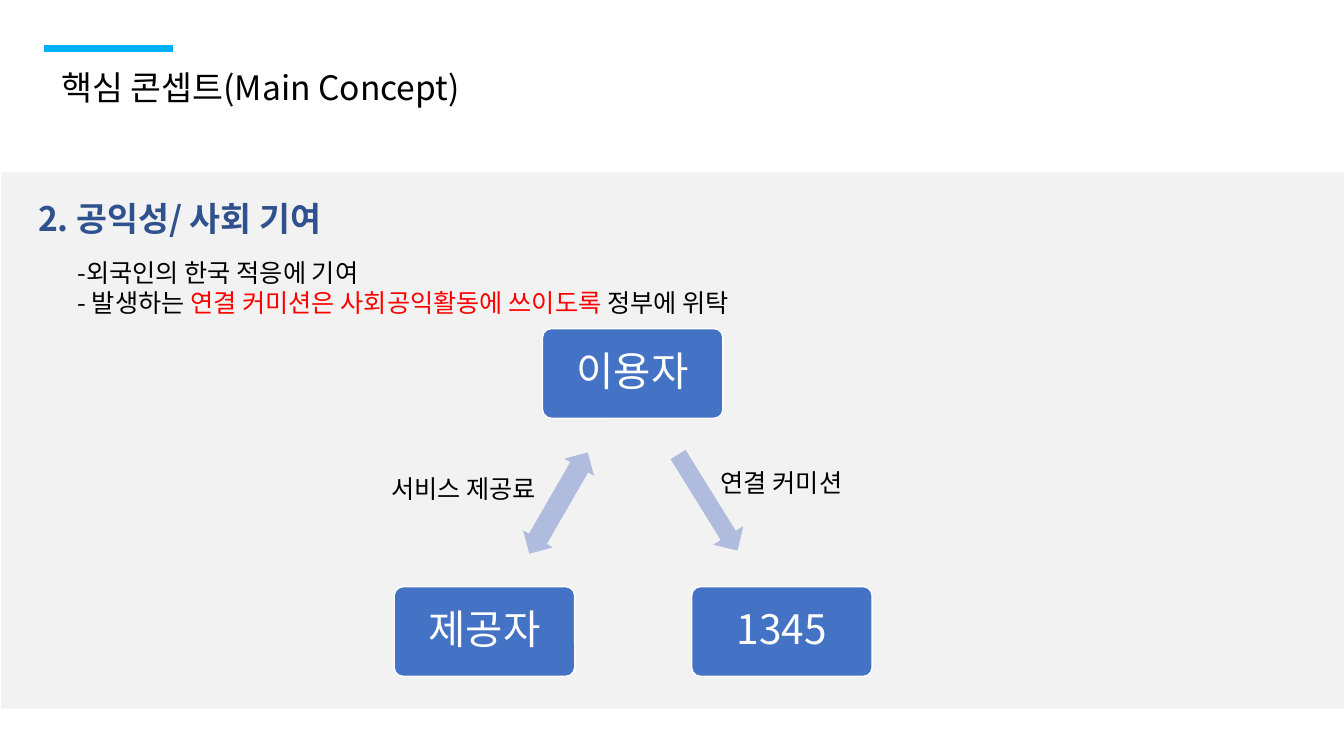
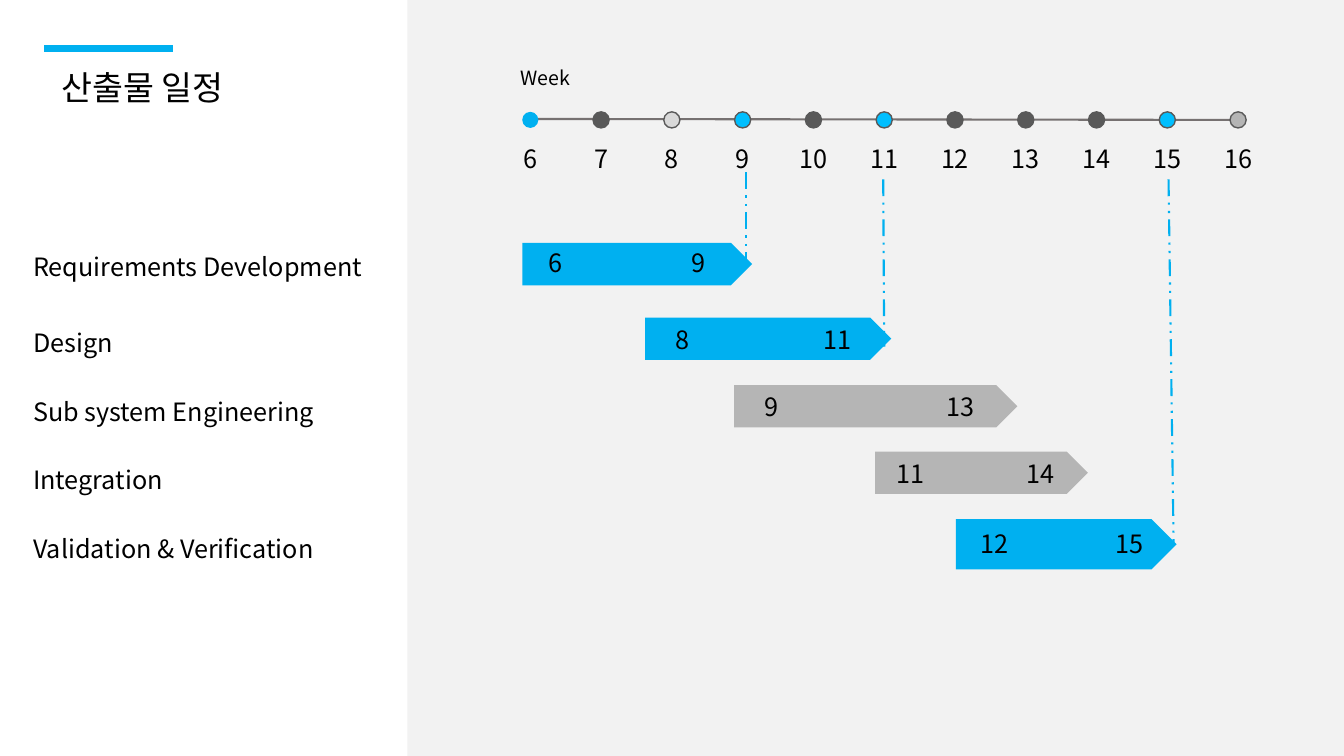
import dataclasses
import typing

import lxml.etree
import pptx
import pptx.dml.color
import pptx.enum.dml
import pptx.enum.shapes
import pptx.enum.text
import pptx.oxml.ns
import pptx.util

Inches = pptx.util.Inches
Pt = pptx.util.Pt
SHAPE = pptx.enum.shapes.MSO_SHAPE
ALIGN = pptx.enum.text.PP_ALIGN
ANCHOR = pptx.enum.text.MSO_ANCHOR

FONT = "Noto Sans CJK KR"
BLACK, WHITE, RED = "000000", "FFFFFF", "FF0000"
PANEL, NAVY, BLUE, PALE_BLUE = "F2F2F2", "2F528F", "4472C4", "B0BCDE"
ACCENT, SKY = "00B0F0", "00BFFF"
DARK, RULE, SILVER, LIGHT = "595959", "767171", "B5B5B5", "D9D9D9"

Run = tuple[str, str]


@dataclasses.dataclass(frozen=True)
class Box:
    left: float
    top: float
    width: float
    height: float

    def lengths(self) -> list[int]:
        return [Inches(v) for v in dataclasses.astuple(self)]


@dataclasses.dataclass(frozen=True)
class Line:
    x1: float
    y1: float
    x2: float
    y2: float
    color: str
    width: float
    dashed: bool = False


@dataclasses.dataclass(frozen=True)
class Stage:
    name: str
    name_top: float
    bar: Box
    color: str
    start: str
    start_x: float
    end: str
    end_x: float
    number_top: float


ACCENT_LINE = Line(0.44, 0.48, 1.72, 0.48, ACCENT, 5)

NODES = [("이용자", 5.38, 3.26), ("1345", 6.86, 5.82), ("제공자", 3.91, 5.82)]
FLOW_LABELS = [("서비스 제공료", 3.78, 4.65), ("연결 커미션", 7.05, 4.59)]

FIRST_WEEK = 6
DOT_LEFT, LAST_DOT_LEFT, DOT_TOP, DOT_SIZE = 5.18, 12.2, 1.11, 0.16
DOT_COLORS = [ACCENT, DARK, LIGHT, SKY, DARK, SKY, DARK, DARK, DARK, SKY, SILVER]
NUMBER_WIDTH, NUMBER_HEIGHT = 0.55, 0.4

STAGES = [
    Stage("Requirements Development", 2.44, Box(5.18, 2.41, 2.28, 0.42), ACCENT,
          "6", 5.51, "9", 6.93, 2.4),
    Stage("Design", 3.2, Box(6.4, 3.15, 2.44, 0.42), ACCENT,
          "8", 6.77, "11", 8.31, 3.17),
    Stage("Sub system Engineering", 3.88, Box(7.28, 3.82, 2.81, 0.42), SILVER,
          "9", 7.65, "13", 9.53, 3.83),
    Stage("Integration", 4.56, Box(8.68, 4.48, 2.11, 0.42), SILVER,
          "11", 9.03, "14", 10.32, 4.5),
    Stage("Validation & Verification", 5.24, Box(9.48, 5.15, 2.19, 0.5), ACCENT,
          "12", 9.86, "15", 11.2, 5.19),
]
DEADLINES = [
    Line(7.4, 1.71, 7.4, 2.66, ACCENT, 1.5, True),
    Line(8.76, 1.78, 8.77, 3.44, ACCENT, 1.5, True),
    Line(11.59, 1.78, 11.64, 5.38, ACCENT, 1.5, True),
]


def rgb(color: str) -> pptx.dml.color.RGBColor:
    return pptx.dml.color.RGBColor.from_string(color)


def apply(target: typing.Any, values: dict[str, typing.Any]) -> None:
    for name, value in values.items():
        setattr(target, name, value)


def write(tf: typing.Any, paragraphs: list[list[Run]], size: float,
          bold: bool = False, **paragraph_format: typing.Any) -> None:
    for i, runs in enumerate(paragraphs):
        p = tf.add_paragraph() if i else tf.paragraphs[0]
        apply(p, paragraph_format)
        for text, color in runs:
            r = p.add_run()
            r.text = text
            apply(r.font, {"name": FONT, "size": Pt(size), "bold": bold})
            r.font.color.rgb = rgb(color)
            ea = lxml.etree.SubElement(r.font._element, pptx.oxml.ns.qn("a:ea"))
            ea.set("typeface", FONT)


def add_text(s: typing.Any, box: Box, paragraphs: list[list[Run]],
             size: float = 18, bold: bool = False,
             **paragraph_format: typing.Any) -> None:
    tf = s.shapes.add_textbox(*box.lengths()).text_frame
    tf.word_wrap = True
    write(tf, paragraphs, size, bold, **paragraph_format)


def add_number(s: typing.Any, text: str, center: float, top: float) -> None:
    box = Box(center - NUMBER_WIDTH / 2, top, NUMBER_WIDTH, NUMBER_HEIGHT)
    add_text(s, box, [[(text, BLACK)]], alignment=ALIGN.CENTER)


def add_shape(s: typing.Any, kind: typing.Any, box: Box, fill: str,
              line: str | None = None, rotation: float = 0,
              adjustments: tuple[float, ...] = ()) -> typing.Any:
    sp = s.shapes.add_shape(kind, *box.lengths())
    sp.shadow.inherit = False
    sp.fill.solid()
    sp.fill.fore_color.rgb = rgb(fill)
    if line:
        sp.line.color.rgb = rgb(line)
        sp.line.width = Pt(1)
    else:
        sp.line.fill.background()
    sp.rotation = rotation
    for i, value in enumerate(adjustments):
        sp.adjustments[i] = value
    return sp


def add_line(s: typing.Any, line: Line) -> None:
    ends = [Inches(v) for v in (line.x1, line.y1, line.x2, line.y2)]
    c = s.shapes.add_connector(pptx.enum.shapes.MSO_CONNECTOR.STRAIGHT, *ends)
    c.line.color.rgb = rgb(line.color)
    c.line.width = Pt(line.width)
    if line.dashed:
        c.line.dash_style = pptx.enum.dml.MSO_LINE.DASH_DOT_DOT
    lxml.etree.SubElement(c._element.spPr, pptx.oxml.ns.qn("a:effectLst"))


def add_slide(prs: typing.Any, title: str, title_width: float, panel: Box) -> typing.Any:
    """Add a blank slide with the shared panel, accent line and title."""
    s = prs.slides.add_slide(prs.slide_layouts[6])
    add_shape(s, SHAPE.RECTANGLE, panel, PANEL)
    add_line(s, ACCENT_LINE)
    add_text(s, Box(0.51, 0.61, title_width, 0.5), [[(title, BLACK)]], 24)
    return s


def add_node(s: typing.Any, text: str, left: float, top: float) -> None:
    sp = add_shape(s, SHAPE.ROUNDED_RECTANGLE, Box(left, top, 1.79, 0.89),
                   BLUE, WHITE, adjustments=(0.1,))
    tf = sp.text_frame
    margins = ("margin_left", "margin_top", "margin_right", "margin_bottom")
    apply(tf, dict.fromkeys(margins, Inches(0.12)))
    apply(tf, {"word_wrap": True, "vertical_anchor": ANCHOR.MIDDLE})
    write(tf, [[(text, WHITE)]], 29, alignment=ALIGN.CENTER, line_spacing=0.9)


def build_concept(prs: typing.Any) -> None:
    s = add_slide(prs, "핵심 콘셉트(Main Concept)", 8.75, Box(0.01, 1.71, 13.33, 5.32))
    add_text(s, Box(0.28, 1.91, 4.36, 0.81), [[("2. 공익성/ 사회 기여", NAVY)]], 24, True)
    add_text(s, Box(0.67, 2.5, 10.71, 0.71), [
        [("-외국인의 한국 적응에 기여", BLACK)],
        [("- 발생하는 ", BLACK), ("연결 커미션은 사회공익활동에 쓰이도록 ", RED),
         ("정부에 위탁", BLACK)],
    ])
    for node in NODES:
        add_node(s, *node)
    add_shape(s, SHAPE.LEFT_ARROW, Box(6.46, 4.81, 1.12, 0.35), PALE_BLUE, rotation=238.2)
    add_shape(s, SHAPE.LEFT_RIGHT_ARROW, Box(4.96, 4.82, 1.16, 0.34), PALE_BLUE,
              rotation=300, adjustments=(0.6, 0.5))
    for text, left, top in FLOW_LABELS:
        add_text(s, Box(left, top, 1.72, 0.4), [[(text, BLACK)]])


def build_schedule(prs: typing.Any) -> None:
    s = add_slide(prs, "산출물 일정", 3.53, Box(4.04, 0, 9.31, 7.5))
    add_text(s, Box(5.06, 0.61, 0.82, 0.34), [[("Week", BLACK)]], 14)
    add_line(s, Line(5.2, 1.18, 12.35, 1.19, RULE, 1.5))
    step = (LAST_DOT_LEFT - DOT_LEFT) / (len(DOT_COLORS) - 1)
    for i, color in enumerate(DOT_COLORS):
        left = DOT_LEFT + i * step
        add_shape(s, SHAPE.OVAL, Box(left, DOT_TOP, DOT_SIZE, DOT_SIZE), color,
                  DARK if i else None)
        add_number(s, str(FIRST_WEEK + i), left + DOT_SIZE / 2, 1.37)
    for stage in STAGES:
        add_text(s, Box(0.23, stage.name_top, 4.15, 0.4), [[(stage.name, BLACK)]])
        add_shape(s, SHAPE.PENTAGON, stage.bar, stage.color)
    for deadline in DEADLINES:
        add_line(s, deadline)
    for stage in STAGES:
        add_number(s, stage.start, stage.start_x, stage.number_top)
        add_number(s, stage.end, stage.end_x, stage.number_top)


def main() -> None:
    prs = pptx.Presentation()
    apply(prs, {"slide_width": Inches(13.33), "slide_height": Inches(7.5)})
    build_concept(prs)
    build_schedule(prs)
    prs.save("out.pptx")


if __name__ == "__main__":
    main()
